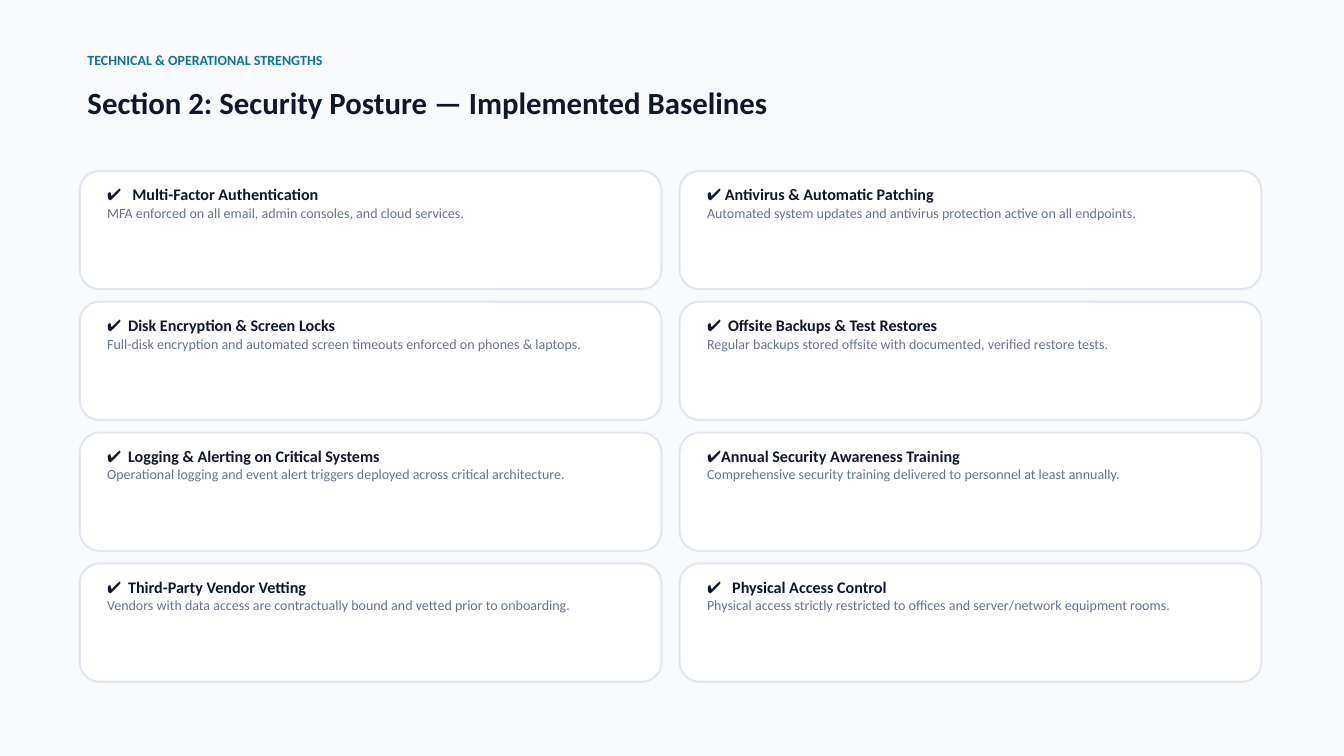
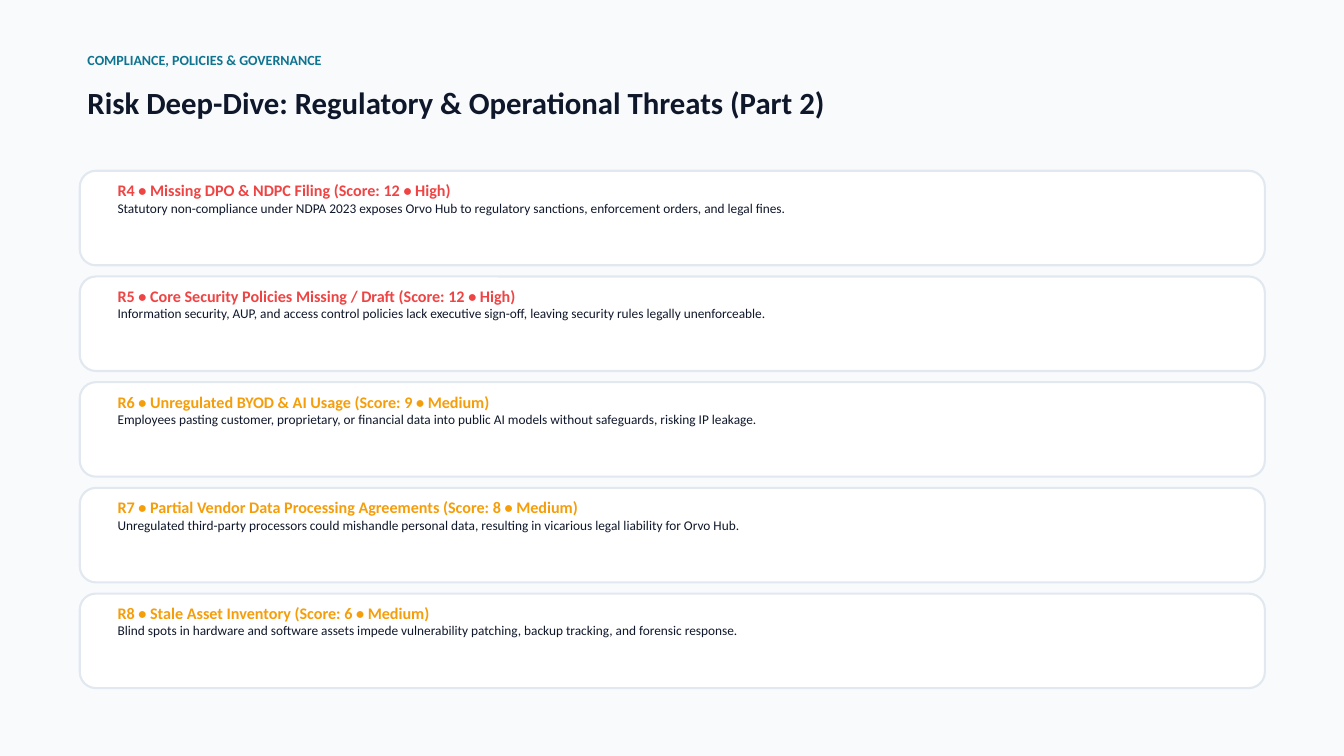
"""Build two security review slides made of headed card grids."""
import pptx
import pptx.dml.color
import pptx.enum.shapes
import pptx.enum.text
import pptx.oxml
import pptx.oxml.ns
import pptx.util

EMU_PER_PX = 9525
SLIDE_SIZE = (1920, 1080)
TITLE_ONLY_LAYOUT = 5

THEME = {
    "font": "Calibri",
    "background": "F8FAFC",
    "card": "FFFFFF",
    "border": "E2E8F0",
    "border_width": 2.25,
    "ink": "0F172A",
    "muted": "64748B",
    "accent": "0E7490",
    "high": "EF4444",
    "medium": "F59E0B",
    "styles": {
        "kicker": {"size": 15, "spacing": 18, "bold": True},
        "title": {"size": 33, "spacing": 39.6, "bold": True},
        "heading": {"size": 17.3, "spacing": 20.7, "bold": True},
        "detail": {"size": 15, "spacing": 18, "bold": False},
        "risk_detail": {"size": 14.3, "spacing": 17.1, "bold": False},
    },
}

KICKER_BOX = (125, 73, 1667, 45)
TITLE_BOX = (125, 120, 1667, 91)
GRID_ORIGIN = (114, 244)

SLIDES = [
    {
        "kicker": "TECHNICAL & OPERATIONAL STRENGTHS",
        "title": "Section 2: Security Posture — Implemented Baselines",
        "grid": {"columns": 2, "pitch": (857, 187), "size": (831, 169), "radius": 28,
                 "text_offset": (39, 20), "text_size": (752, 55)},
        "detail_style": ("detail", "muted"),
        "cards": [
            ("ink", 36, "✔\tMulti-Factor Authentication",
             "MFA enforced on all email, admin consoles, and cloud services."),
            ("ink", None, "✔ Antivirus & Automatic Patching",
             "Automated system updates and antivirus protection active on all endpoints."),
            ("ink", 30, "✔\tDisk Encryption & Screen Locks",
             "Full-disk encryption and automated screen timeouts enforced on phones & laptops."),
            ("ink", 30, "✔\tOffsite Backups & Test Restores",
             "Regular backups stored offsite with documented, verified restore tests."),
            ("ink", 30, "✔\tLogging & Alerting on Critical Systems",
             "Operational logging and event alert triggers deployed across critical architecture."),
            ("ink", None, "✔Annual Security Awareness Training",
             "Comprehensive security training delivered to personnel at least annually."),
            ("ink", 30, "✔\tThird-Party Vendor Vetting",
             "Vendors with data access are contractually bound and vetted prior to onboarding."),
            ("ink", 36, "✔\tPhysical Access Control",
             "Physical access strictly restricted to offices and server/network equipment rooms."),
        ],
    },
    {
        "kicker": "COMPLIANCE, POLICIES & GOVERNANCE",
        "title": "Risk Deep-Dive: Regulatory & Operational Threats (Part 2)",
        "grid": {"columns": 1, "pitch": (0, 151), "size": (1693, 135), "radius": 23,
                 "text_offset": (54, 14), "text_size": (1580, 103)},
        "detail_style": ("risk_detail", "ink"),
        "cards": [
            ("high", None, "R4 • Missing DPO & NDPC Filing (Score: 12 • High)",
             "Statutory non-compliance under NDPA 2023 exposes Orvo Hub to regulatory sanctions, "
             "enforcement orders, and legal fines."),
            ("high", None, "R5 • Core Security Policies Missing / Draft (Score: 12 • High)",
             "Information security, AUP, and access control policies lack executive sign-off, "
             "leaving security rules legally unenforceable."),
            ("medium", None, "R6 • Unregulated BYOD & AI Usage (Score: 9 • Medium)",
             "Employees pasting customer, proprietary, or financial data into public AI models "
             "without safeguards, risking IP leakage."),
            ("medium", None, "R7 • Partial Vendor Data Processing Agreements (Score: 8 • Medium)",
             "Unregulated third-party processors could mishandle personal data, "
             "resulting in vicarious legal liability for Orvo Hub."),
            ("medium", None, "R8 • Stale Asset Inventory (Score: 6 • Medium)",
             "Blind spots in hardware and software assets impede vulnerability patching, "
             "backup tracking, and forensic response."),
        ],
    },
]


def px(*lengths):
    return [pptx.util.Emu(length * EMU_PER_PX) for length in lengths]


def color(name):
    return pptx.dml.color.RGBColor.from_string(THEME[name])


def set_attributes(target, values):
    for name, value in values.items():
        setattr(target, name, value)


def add_tab_stop(paragraph, position):
    properties = paragraph._p.get_or_add_pPr()
    tab_list = pptx.oxml.parse_xml(
        f'<a:tabLst {pptx.oxml.ns.nsdecls("a")}>'
        f'<a:tab pos="{px(position)[0]}" algn="l"/></a:tabLst>')
    properties.append(tab_list)


def write_lines(shape, lines):
    frame = shape.text_frame
    set_attributes(frame, {
        "margin_left": 0, "margin_top": 0, "margin_right": 0, "margin_bottom": 0,
        "word_wrap": True,
        "auto_size": pptx.enum.text.MSO_AUTO_SIZE.NONE,
        "vertical_anchor": pptx.enum.text.MSO_ANCHOR.TOP,
    })
    for index, (text, style_name, color_name, tab) in enumerate(lines):
        style = THEME["styles"][style_name]
        paragraph = frame.add_paragraph() if index else frame.paragraphs[0]
        set_attributes(paragraph, {
            "alignment": pptx.enum.text.PP_ALIGN.LEFT,
            "line_spacing": pptx.util.Pt(style["spacing"]),
            "space_before": pptx.util.Pt(0),
        })
        if tab:
            add_tab_stop(paragraph, tab)
        run = paragraph.add_run()
        run.text = text
        set_attributes(run.font, {
            "name": THEME["font"],
            "size": pptx.util.Pt(style["size"]),
            "bold": style["bold"],
        })
        run.font.color.rgb = color(color_name)


def add_header(slide, kicker, title):
    kicker_box = slide.shapes.add_textbox(*px(*KICKER_BOX))
    write_lines(kicker_box, [(kicker, "kicker", "accent", None)])
    title_shape = slide.shapes.title
    set_attributes(title_shape, dict(zip(("left", "top", "width", "height"), px(*TITLE_BOX))))
    write_lines(title_shape, [(title, "title", "ink", None)])


def add_card(slide, left, top, grid, lines):
    width, height = grid["size"]
    card = slide.shapes.add_shape(
        pptx.enum.shapes.MSO_SHAPE.ROUNDED_RECTANGLE, *px(left, top, width, height))
    card.adjustments[0] = grid["radius"] / height
    card.shadow.inherit = False
    card.fill.solid()
    card.fill.fore_color.rgb = color("card")
    card.line.color.rgb = color("border")
    card.line.width = pptx.util.Pt(THEME["border_width"])
    offset_x, offset_y = grid["text_offset"]
    text_box = slide.shapes.add_textbox(
        *px(left + offset_x, top + offset_y, *grid["text_size"]))
    write_lines(text_box, lines)


def add_slide(presentation, content):
    slide = presentation.slides.add_slide(presentation.slide_layouts[TITLE_ONLY_LAYOUT])
    add_header(slide, content["kicker"], content["title"])
    grid = content["grid"]
    for index, (heading_color, tab, heading, detail) in enumerate(content["cards"]):
        row, column = divmod(index, grid["columns"])
        left = GRID_ORIGIN[0] + column * grid["pitch"][0]
        top = GRID_ORIGIN[1] + row * grid["pitch"][1]
        add_card(slide, left, top, grid, [
            (heading, "heading", heading_color, tab),
            (detail, *content["detail_style"], None),
        ])


def main():
    presentation = pptx.Presentation()
    presentation.slide_width, presentation.slide_height = px(*SLIDE_SIZE)
    background = presentation.slide_master.background.fill
    background.solid()
    background.fore_color.rgb = color("background")
    for content in SLIDES:
        add_slide(presentation, content)
    presentation.save("out.pptx")


if __name__ == "__main__":
    main()
